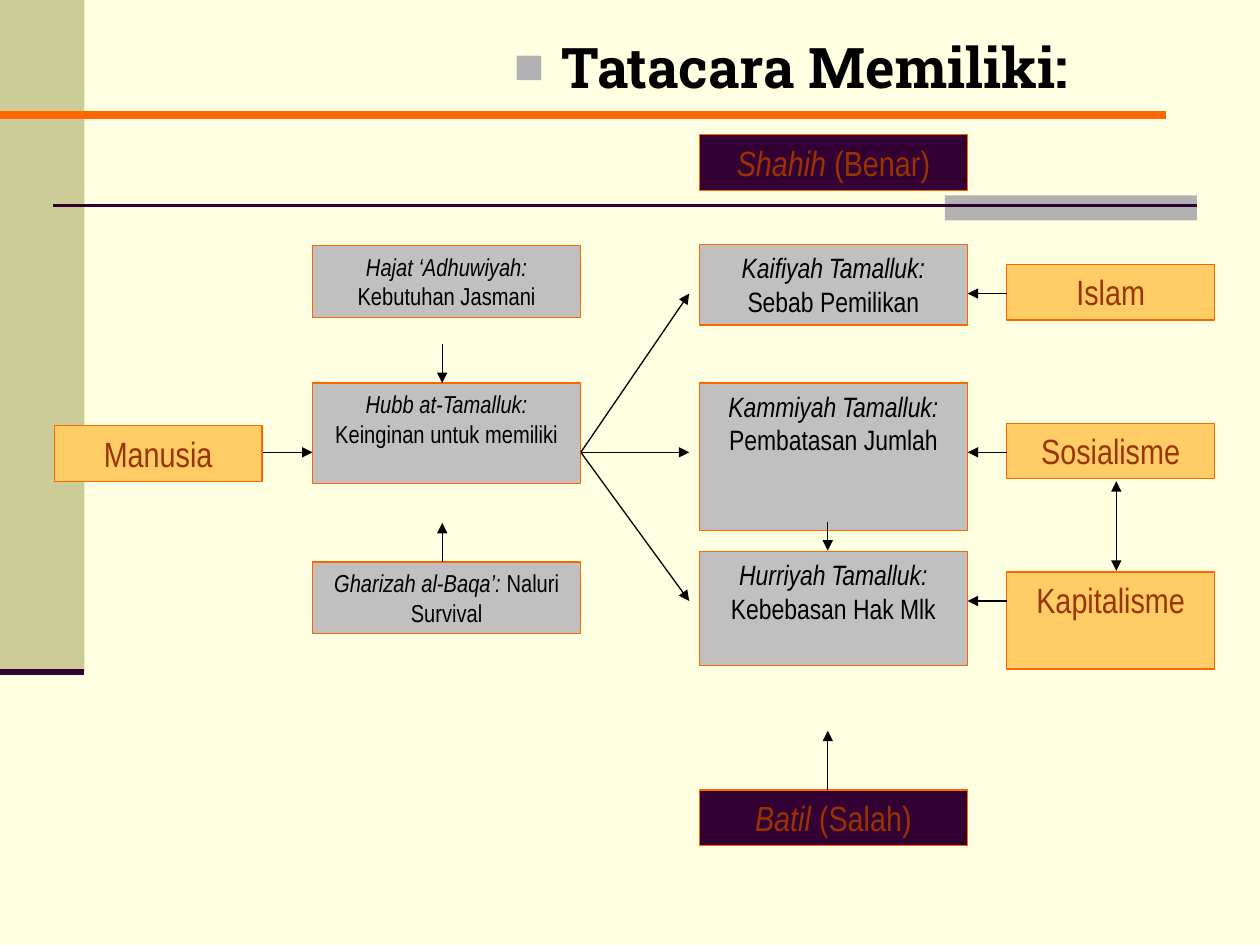
from dataclasses import dataclass

import pptx
import pptx.dml.color
import pptx.enum.shapes
import pptx.enum.text
import pptx.oxml
import pptx.oxml.ns
import pptx.util

RGB = pptx.dml.color.RGBColor
CREAM = RGB(0xFF, 0xFF, 0xE1)
OLIVE = RGB(0xCC, 0xCC, 0x99)
SILVER = RGB(0xB2, 0xB2, 0xB2)
GREY = RGB(0xC0, 0xC0, 0xC0)
PLUM = RGB(0x33, 0x00, 0x33)
ORANGE = RGB(0xFF, 0x66, 0x00)
AMBER = RGB(0xFF, 0xCC, 0x66)
RUST = RGB(0x99, 0x33, 0x00)
BLACK = RGB(0x00, 0x00, 0x00)

COLUMNS, ROWS = 100, 75
CELL = pptx.util.Inches(10) // COLUMNS
LABEL_FONT, TITLE_FONT = "Arial Narrow", "Roboto Slab"


@dataclass(frozen=True)
class Style:
    width: float
    fill: RGB
    color: RGB
    size: int


@dataclass(frozen=True)
class Box:
    style: Style
    col: float
    row: float
    height: float
    term: str
    meaning: str


@dataclass(frozen=True)
class Line:
    start: tuple[float, float]
    end: tuple[float, float]
    color: RGB = BLACK
    weight: float = 0.75
    ends: tuple[str, ...] = ("tailEnd",)


VERDICT = Style(21.3, PLUM, RUST, 20)
ACTOR = Style(16.5, AMBER, RUST, 20)
DRIVE = Style(21.3, GREY, BLACK, 14)
ASPECT = Style(21.3, GREY, BLACK, 16)

ACTOR_COL, DRIVE_COL, ASPECT_COL, SYSTEM_COL = 4.3, 24.8, 55.5, 79.9
DRIVE_MID, ASPECT_MID, SYSTEM_MID = 35.1, 65.7, 88.6
FORK = (46.1, 35.9)
FLOW_ROWS = (23.3, 35.9, 47.7)

BOXES = [
    Box(VERDICT, ASPECT_COL, 62.7, 4.4, "Batil", " (Salah)"),
    Box(VERDICT, ASPECT_COL, 10.7, 4.4, "Shahih", " (Benar)"),
    Box(ACTOR, ACTOR_COL, 33.8, 4.4, "", "Manusia"),
    Box(DRIVE, DRIVE_COL, 30.4, 8, "Hubb at-Tamalluk: ", "Keinginan untuk memiliki"),
    Box(DRIVE, DRIVE_COL, 44.6, 5.7, "Gharizah al-Baqa’: ", "Naluri Survival"),
    Box(DRIVE, DRIVE_COL, 19.5, 5.7, "Hajat ‘Adhuwiyah: ", "Kebutuhan Jasmani"),
    Box(ASPECT, ASPECT_COL, 19.4, 6.4, "Kaifiyah Tamalluk: ", "Sebab Pemilikan"),
    Box(ASPECT, ASPECT_COL, 30.4, 11.7, "Kammiyah Tamalluk: ", "Pembatasan Jumlah"),
    Box(ASPECT, ASPECT_COL, 43.8, 9, "Hurriyah Tamalluk: ", "Kebebasan Hak Mlk"),
    Box(ACTOR, SYSTEM_COL, 21, 4.4, "", "Islam"),
    Box(ACTOR, SYSTEM_COL, 33.6, 4.4, "", "Sosialisme"),
    Box(ACTOR, SYSTEM_COL, 45.4, 7.7, "", "Kapitalisme"),
]

ARROWS = [
    Line((ASPECT_MID, 62.7), (ASPECT_MID, 58)),
    Line((DRIVE_MID, 27.3), (DRIVE_MID, 30.4)),
    Line((DRIVE_MID, 44.6), (DRIVE_MID, 41.5)),
    Line((20.9, 35.9), (DRIVE_COL, 35.9)),
    Line(FORK, FORK),
    *(Line(FORK, (54.7, row)) for row in FLOW_ROWS),
    *(Line((SYSTEM_COL, row), (76.8, row)) for row in FLOW_ROWS),
    Line((ASPECT_MID, 41.4), (ASPECT_MID, 43.7)),
    Line((SYSTEM_MID, 38.2), (SYSTEM_MID, 45.3), ends=("headEnd", "tailEnd")),
]


def grid(*cells: float) -> list[int]:
    return [round(c * CELL) for c in cells]


def child(parent, tag: str, **attributes: str):
    e = pptx.oxml.parse_xml(f"<a:{tag} {pptx.oxml.ns.nsdecls('a')}/>")
    for name, value in attributes.items():
        e.set(name, value)
    parent.append(e)
    return e


def add_text(p, text: str, *, font: str, size: int, color: RGB,
             bold: bool = False, italic: bool = False) -> None:
    r = p.add_run()
    r.text = text
    r.font.name = font
    r.font.size = pptx.util.Pt(size)
    r.font.color.rgb = color
    r.font.bold = bold
    r.font.italic = italic


def add_rect(s, col: float, row: float, width: float, height: float, fill: RGB):
    sp = s.shapes.add_shape(pptx.enum.shapes.MSO_SHAPE.RECTANGLE,
                            *grid(col, row, width, height))
    sp.shadow.inherit = False
    sp.fill.solid()
    sp.fill.fore_color.rgb = fill
    sp.line.fill.background()
    return sp


def add_line(s, line: Line) -> None:
    c = s.shapes.add_connector(pptx.enum.shapes.MSO_CONNECTOR.STRAIGHT,
                               *grid(*line.start, *line.end))
    c.line.color.rgb = line.color
    c.line.width = pptx.util.Pt(line.weight)
    for end in line.ends:
        child(c.line._get_or_add_ln(), end, type="triangle")
    child(c._element.spPr, "effectLst")


def add_box(s, box: Box) -> None:
    style = box.style
    sp = add_rect(s, box.col, box.row, style.width, box.height, style.fill)
    sp.line.color.rgb = ORANGE
    sp.line.width = pptx.util.Pt(0.75)
    tf = sp.text_frame
    tf.word_wrap = True
    tf.vertical_anchor = pptx.enum.text.MSO_ANCHOR.TOP
    p = tf.paragraphs[0]
    p.alignment = pptx.enum.text.PP_ALIGN.CENTER
    for text, italic in ((box.term, True), (box.meaning, False)):
        if text:
            add_text(p, text, font=LABEL_FONT, size=style.size,
                     color=style.color, italic=italic)


def add_title(s, text: str) -> None:
    tf = s.shapes.add_textbox(*grid(39.8, 2.1, 58.3, 7.9)).text_frame
    tf.word_wrap = True
    p = tf.paragraphs[0]
    pPr = p._p.get_or_add_pPr()
    indent = pptx.util.Inches(0.38)
    pPr.set("marL", str(indent))
    pPr.set("indent", str(-indent))
    child(child(pPr, "buClr"), "srgbClr", val=str(SILVER))
    child(pPr, "buSzPct", val="90000")
    child(pPr, "buFont", typeface="Arial")
    child(pPr, "buChar", char="■")
    add_text(p, text, font=TITLE_FONT, size=32, color=BLACK, bold=True)


def main() -> None:
    prs = pptx.Presentation()
    prs.slide_width, prs.slide_height = COLUMNS * CELL, ROWS * CELL
    s = prs.slides.add_slide(prs.slide_layouts[6])
    s.background.fill.solid()
    s.background.fill.fore_color.rgb = CREAM

    add_rect(s, 0, 0, 6.7, 53.3, OLIVE)
    add_rect(s, 75, 15.5, 20, 2, SILVER)
    add_line(s, Line((4.2, 16.3), (95, 16.3), PLUM, 1.5, ()))
    add_line(s, Line((0, 53.3), (6.7, 53.3), PLUM, 3.5, ()))
    add_title(s, "Tatacara Memiliki:")
    add_line(s, Line((0, 9.1), (92.5, 9.1), ORANGE, 4.5, ()))
    for box in BOXES:
        add_box(s, box)
    for arrow in ARROWS:
        add_line(s, arrow)
    prs.save("out.pptx")


if __name__ == "__main__":
    main()
